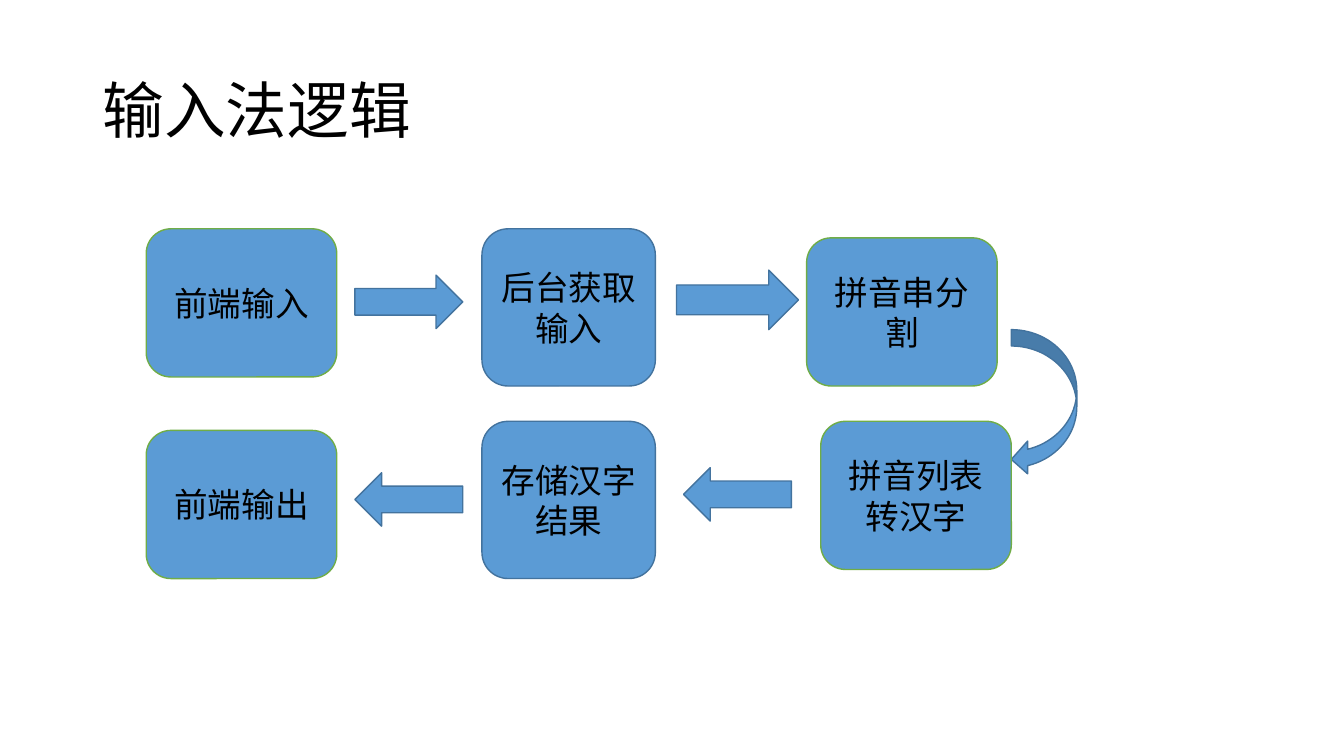
from lxml import etree
from pptx import Presentation
from pptx.dml.color import RGBColor
from pptx.enum.shapes import MSO_SHAPE
from pptx.enum.text import MSO_ANCHOR, PP_ALIGN
from pptx.oxml.ns import qn
from pptx.util import Inches, Pt

BOX = MSO_SHAPE.ROUNDED_RECTANGLE
RIGHT = MSO_SHAPE.RIGHT_ARROW
LEFT = MSO_SHAPE.LEFT_ARROW
CURVE = MSO_SHAPE.CURVED_LEFT_ARROW
MIDDLE = MSO_ANCHOR.MIDDLE
CENTER = PP_ALIGN.CENTER
START = PP_ALIGN.LEFT

BLUE, NAVY, GREEN, BLACK = "5B9BD5", "43739E", "70AD47", "000000"
HAN = "Noto Sans CJK SC"


def color(code):
    return RGBColor.from_string(code)


def write(shape, text, align, font):
    frame = shape.text_frame
    frame.word_wrap = True
    frame.vertical_anchor = MIDDLE
    para = frame.paragraphs[0]
    para.alignment = align
    run = para.add_run()
    run.text = text
    for key, value in font.items():
        setattr(run.font, key, value)
    run.font.color.rgb = color(BLACK)
    # East Asian typeface
    etree.SubElement(run.font._element, qn("a:ea"), typeface=HAN)


deck = Presentation()
deck.slide_width, deck.slide_height = Inches(13.33), Inches(7.5)
slide = deck.slides.add_slide(deck.slide_layouts[6])

# Title
title = slide.shapes.add_textbox(
    Inches(0.92), Inches(0.4), Inches(11.5), Inches(1.45))
write(title, "输入法逻辑", START, {"name": "Calibri", "size": Pt(44)})
title.text_frame.paragraphs[0].line_spacing = 0.9

# Flow in reading order: kind, left, top, size, outline, label
wide, tall, small = (1.89, 1.47), (1.72, 1.56), (1.07, 0.53)
steps = [
    (BOX, 1.45, 2.27, wide, GREEN, "前端输入"),
    (RIGHT, 3.52, 2.73, small, NAVY, ""),
    (BOX, 4.78, 2.27, tall, NAVY, "后台获取输入"),
    (RIGHT, 6.71, 2.68, (1.21, 0.59), NAVY, ""),
    (BOX, 8, 2.36, wide, GREEN, "拼音串分割"),
    (CURVE, 10.03, 3.27, (0.65, 1.45), NAVY, ""),
    (BOX, 8.14, 4.18, wide, GREEN, "拼音列表转汉字"),
    (LEFT, 6.78, 4.64, small, NAVY, ""),
    (BOX, 4.78, 4.18, tall, NAVY, "存储汉字结果"),
    (LEFT, 3.52, 4.69, small, NAVY, ""),
    (BOX, 1.45, 4.27, wide, GREEN, "前端输出"),
]
for kind, left, top, size, edge, label in steps:
    shape = slide.shapes.add_shape(
        kind, Inches(left), Inches(top), Inches(size[0]), Inches(size[1]))
    shape.shadow.inherit = False
    shape.fill.solid()
    shape.fill.fore_color.rgb = color(BLUE)
    shape.line.color.rgb = color(edge)
    shape.line.width = Pt(1)
    if label:
        write(shape, label, CENTER, {"name": HAN, "size": Pt(24)})

deck.save("out.pptx")
